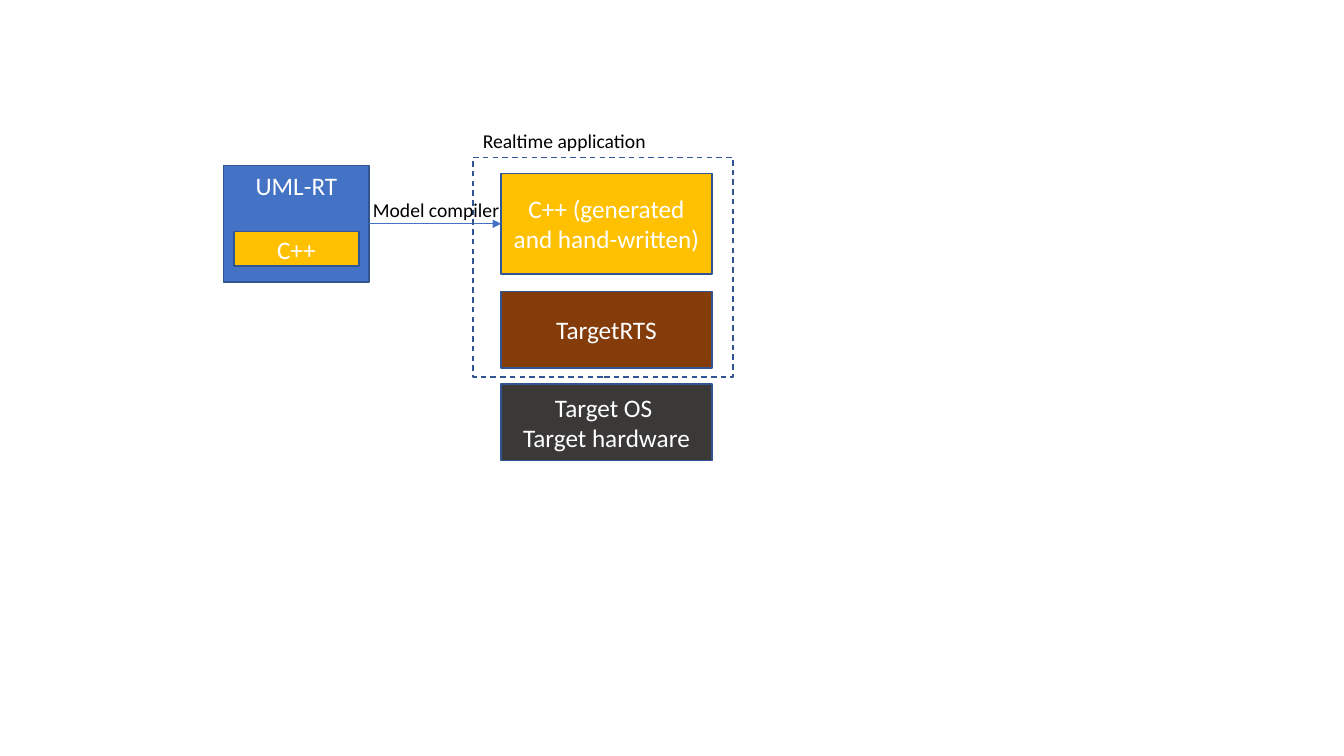
from dataclasses import dataclass

from lxml import etree
from pptx import Presentation
from pptx import util as u
from pptx.dml.color import RGBColor
from pptx.enum import dml, shapes, text
from pptx.oxml.ns import qn

COLORS = {
    "model": "4472C4",
    "code": "FFC000",
    "runtime": "843C0B",
    "platform": "3B3838",
    "outline": "325491",
    "white": "FFFFFF",
    "black": "000000",
}
FONT = "Calibri"

# Column of target layers
STACK_LEFT, STACK_WIDTH = 4.97, 2.09


@dataclass
class Box:
    label: str
    left: float
    top: float
    width: float
    height: float
    fill: str
    anchor: text.MSO_ANCHOR = text.MSO_ANCHOR.MIDDLE


@dataclass
class Caption:
    label: str
    left: float
    top: float
    width: float
    height: float = 0.34


UML_MODEL = Box("UML-RT", 2.22, 1.64, 1.44, 1.16, "model", text.MSO_ANCHOR.TOP)
MODEL_CODE = Box("C++", 2.32, 2.3, 1.24, 0.34, "code")
TARGET_RTS = Box("TargetRTS", STACK_LEFT, 2.89, STACK_WIDTH, 0.76, "runtime")
PLATFORM = Box("Target OS \nTarget hardware", STACK_LEFT, 3.81, STACK_WIDTH, 0.76, "platform")
APP_CODE = Box("C++ (generated and hand-written)", STACK_LEFT, 1.72, STACK_WIDTH, 1, "code")
CAPTIONS = [
    Caption("Model compiler", 3.6, 1.91, 1.47),
    Caption("Realtime application", 4.69, 1.23, 1.84),
]


def rgb(name: str) -> RGBColor:
    return RGBColor.from_string(COLORS[name])


def write(p, label: str, size: float, color: str) -> None:
    p.text = label
    p.font.name = FONT
    p.font.size = u.Pt(size)
    p.font.color.rgb = rgb(color)


def add_rect(s, left: float, top: float, width: float, height: float):
    sp = s.shapes.add_shape(shapes.MSO_SHAPE.RECTANGLE, u.Inches(left),
                            u.Inches(top), u.Inches(width), u.Inches(height))
    sp.shadow.inherit = False
    sp.line.color.rgb = rgb("outline")
    sp.line.width = u.Pt(1)
    return sp


def add_box(s, box: Box):
    sp = add_rect(s, box.left, box.top, box.width, box.height)
    sp.fill.solid()
    sp.fill.fore_color.rgb = rgb(box.fill)
    tf = sp.text_frame
    tf.word_wrap = True
    tf.vertical_anchor = box.anchor
    p = tf.paragraphs[0]
    p.alignment = text.PP_ALIGN.CENTER
    write(p, box.label, 18, "white")
    return sp


def add_arrow(s, source, target) -> None:
    cx = s.shapes.add_connector(shapes.MSO_CONNECTOR.STRAIGHT, 0, 0, 0, 0)
    cx.begin_connect(source, 3)
    cx.end_connect(target, 1)
    cx.line.color.rgb = rgb("model")
    cx.line.width = u.Pt(0.5)
    etree.SubElement(cx.line._get_or_add_ln(), qn("a:tailEnd"), type="triangle")
    etree.SubElement(cx._element.spPr, qn("a:effectLst"))


def add_caption(s, caption: Caption) -> None:
    sp = s.shapes.add_textbox(u.Inches(caption.left), u.Inches(caption.top),
                              u.Inches(caption.width), u.Inches(caption.height))
    tf = sp.text_frame
    tf.word_wrap = False
    tf.auto_size = text.MSO_AUTO_SIZE.SHAPE_TO_FIT_TEXT
    write(tf.paragraphs[0], caption.label, 14, "black")


def main() -> None:
    prs = Presentation()
    prs.slide_width, prs.slide_height = u.Inches(13.33), u.Inches(7.5)
    s = prs.slides.add_slide(prs.slide_layouts[6])

    # Model and target layers
    model = add_box(s, UML_MODEL)
    for box in (MODEL_CODE, TARGET_RTS, PLATFORM):
        add_box(s, box)
    app_code = add_box(s, APP_CODE)

    # Compilation from model to code
    add_arrow(s, model, app_code)

    # Application boundary
    boundary = add_rect(s, 4.69, 1.56, 2.58, 2.18)
    boundary.fill.background()
    boundary.line.dash_style = dml.MSO_LINE.DASH

    # Captions
    for caption in CAPTIONS:
        add_caption(s, caption)

    prs.save("out.pptx")


if __name__ == "__main__":
    main()
